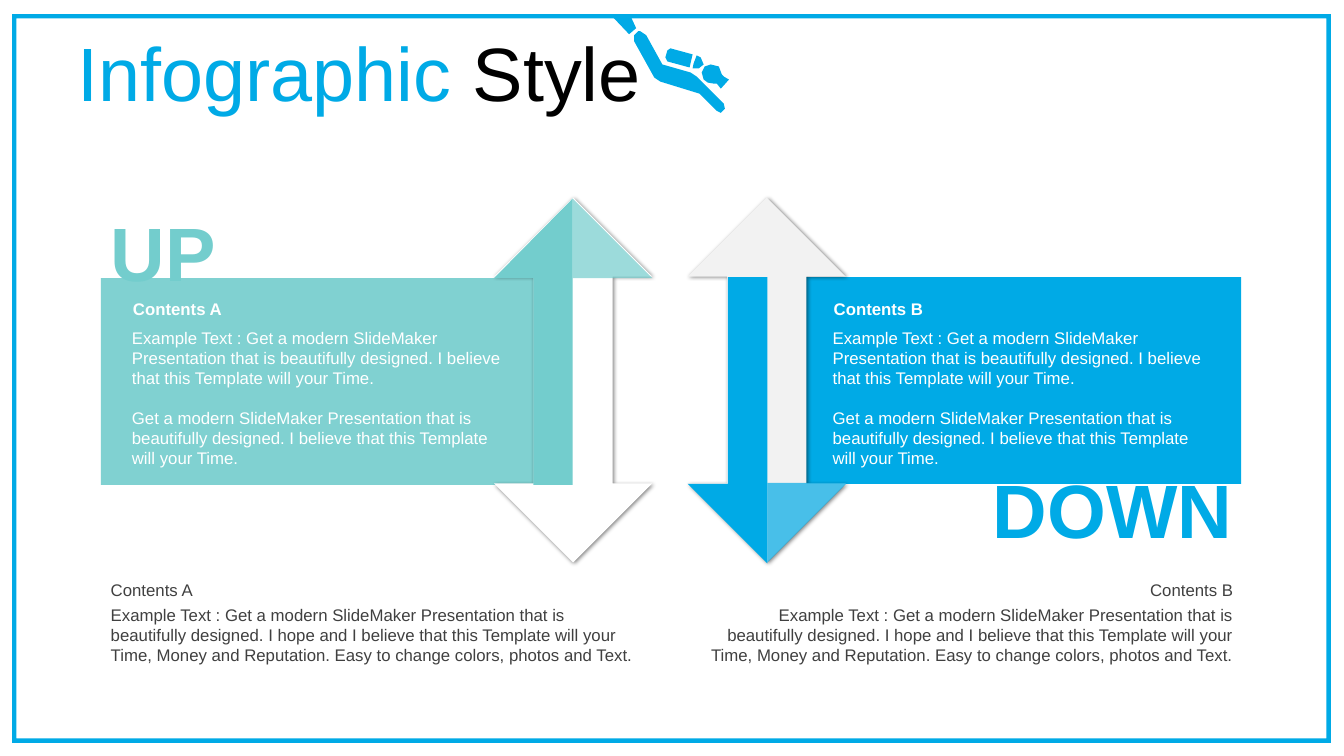
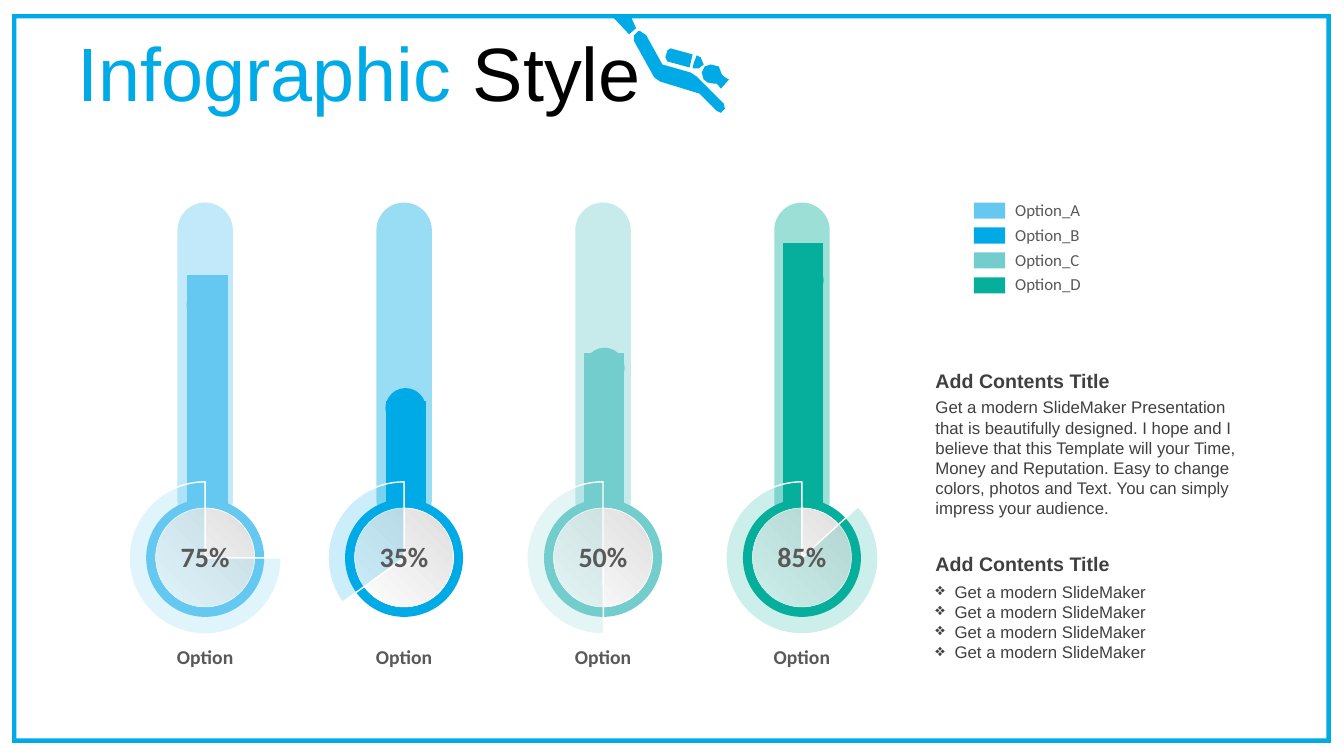
from dataclasses import dataclass

from lxml import etree
from pptx import Presentation
from pptx import util as u
from pptx.chart import data as chart_data
from pptx.dml.color import RGBColor
from pptx.enum import chart as chart_enum
from pptx.enum import shapes, text
from pptx.oxml.ns import qn

LEFT, CENTER, RIGHT = text.PP_ALIGN.LEFT, text.PP_ALIGN.CENTER, text.PP_ALIGN.RIGHT
TOP, MIDDLE = text.MSO_ANCHOR.TOP, text.MSO_ANCHOR.MIDDLE
RECT, OVAL = shapes.MSO_SHAPE.RECTANGLE, shapes.MSO_SHAPE.OVAL


@dataclass(frozen=True)
class Theme:
    blue: str = "00AAE6"
    sky: str = "64C8F0"
    aqua: str = "73CDCD"
    green: str = "05AF9B"
    white: str = "FFFFFF"
    black: str = "000000"
    pale: str = "F2F2F2"
    silver: str = "DEDEDE"
    ink: str = "404040"
    grey: str = "595959"
    sans: str = "Arial"
    label: str = "Calibri"
    display: int = 54
    figure: int = 20
    heading: int = 14
    body: int = 12
    paragraph_gap: int = 14


THEME = Theme()

DIVER = [
    [(70.5, 6.4), (71.3, 6.6), (71.6, 7.4), (71.8, 7.6), (72.3, 7.9), (71.5, 8.8),
     (71.1, 8.3), (70.8, 8.3), (70.2, 8.2), (69.8, 7.9), (69.6, 7.2), (69.9, 6.6)],
    [(69.1, 5.5), (69.5, 5.7), (69.8, 6.4), (69.3, 6.8), (68.7, 6.8), (68.8, 6.3)],
    [(66.5, 4.8), (68.7, 5.4), (68.4, 6.7), (66.2, 6.1), (66, 5.7), (66.2, 5)],
    [(63.5, 3.1), (64.1, 3.5), (65.7, 6.4), (68.5, 7.2), (69.1, 7.6), (71.8, 10.3),
     (71.9, 10.8), (71.5, 11.2), (71.1, 11), (69.4, 9.3), (65.5, 8.1), (64.9, 7.7),
     (62.9, 4.1), (62.9, 3.5), (63.3, 3.1)],
    [(60.6, 1.5), (62.5, 1.5), (63.1, 2.8), (62.4, 3.4)],
]


def rgb(code):
    return RGBColor.from_string(code)


class Deck:
    CELL = u.Inches(0.1)

    def __init__(self, theme):
        self.theme = theme
        self.file = Presentation()
        self.file.slide_width = u.Inches(13.33)
        self.file.slide_height = u.Inches(7.5)
        self.slide = None

    def cells(self, *counts):
        return [u.Emu(round(count * self.CELL)) for count in counts]

    def start_slide(self, accent, rest):
        t = self.theme
        self.slide = self.file.slides.add_slide(self.file.slide_layouts[5])
        title = self.slide.shapes.title
        title.left, title.top, title.width, title.height = self.cells(6.7, 3.7, 122.4, 7.9)
        frame = title.text_frame
        frame.auto_size = text.MSO_AUTO_SIZE.NONE
        frame.vertical_anchor = MIDDLE
        line = frame.paragraphs[0]
        line.alignment = LEFT
        line.line_spacing = 0.9
        line.font.name, line.font.size = t.sans, u.Pt(t.display)
        for words, colour in ((accent, t.blue), (rest, t.black)):
            run = line.add_run()
            run.text = words
            run.font.color.rgb = rgb(colour)
        self.shape(shapes.MSO_SHAPE.FRAME, (1.2, 1.4, 130.8, 72.3), t.blue, adjust=[0.006])
        self.outline(DIVER, t.blue)

    def paint(self, shape, colour, opacity=100, edge=None):
        shape.shadow.inherit = False
        shape.fill.solid()
        shape.fill.fore_color.rgb = rgb(colour)
        if opacity < 100:
            tint = shape._element.spPr.find(f"{qn('a:solidFill')}/{qn('a:srgbClr')}")
            etree.SubElement(tint, qn("a:alpha"), val=str(opacity * 1000))
        if edge is None:
            shape.line.fill.background()
        else:
            shape.line.color.rgb = rgb(self.theme.white)
            shape.line.width = u.Pt(edge)
        return shape

    def shape(self, kind, box, colour, opacity=100, edge=None, adjust=()):
        shape = self.slide.shapes.add_shape(kind, *self.cells(*box))
        for index, value in enumerate(adjust):
            shape.adjustments[index] = value
        return self.paint(shape, colour, opacity, edge)

    def outline(self, contours, colour, opacity=100):
        first, *others = [[self.cells(*point) for point in contour] for contour in contours]
        builder = self.slide.shapes.build_freeform(*first[0])
        builder.add_line_segments(first[1:], close=True)
        for contour in others:
            builder.move_to(*contour[0])
            builder.add_line_segments(contour[1:], close=True)
        return self.paint(builder.convert_to_shape(), colour, opacity)

    def double_arrow(self, left, colour):
        arrow = self.shape(shapes.MSO_SHAPE.UP_DOWN_ARROW, (left, 19.6, 15.7, 36.2), colour)
        effects = arrow._element.spPr.find(qn("a:effectLst"))
        shadow = etree.SubElement(effects, qn("a:outerShdw"), blurRad=str(u.Pt(3)),
                                  dist=str(u.Pt(1)), dir="2700000", algn="tl", rotWithShape="0")
        tint = etree.SubElement(shadow, qn("a:srgbClr"), val=self.theme.black)
        etree.SubElement(tint, qn("a:alpha"), val="47000")

    def dial(self, box):
        dial = self.shape(OVAL, box, self.theme.white, edge=0.5)
        dial.fill.gradient()
        dial.fill.gradient_angle = 225
        for stop, colour in zip(dial.fill.gradient_stops, (self.theme.silver, self.theme.white)):
            stop.color.rgb = rgb(colour)

    def text(self, box, lines, colour, size=None, bold=False, align=LEFT, anchor=TOP,
             font=None, gap=0, bullet=None):
        frame = self.slide.shapes.add_textbox(*self.cells(*box)).text_frame
        frame.word_wrap = True
        frame.vertical_anchor = anchor
        for index, words in enumerate(lines):
            line = frame.paragraphs[0] if index == 0 else frame.add_paragraph()
            line.text = words
            line.alignment = align
            if index and gap:
                line.space_before = u.Pt(gap)
            if bullet:
                indent = u.Inches(0.19)
                props = line._p.get_or_add_pPr()
                props.set("marL", str(indent))
                props.set("indent", str(-indent))
                etree.SubElement(props, qn("a:buChar"), char=bullet)
            line.font.name = font or self.theme.sans
            line.font.size = u.Pt(size or self.theme.body)
            line.font.bold = bold
            line.font.color.rgb = rgb(colour)

    def columns(self, box, values, colours):
        t = self.theme
        source = chart_data.CategoryChartData()
        source.categories = [str(number + 1) for number in range(len(values))]
        source.add_series("Series 1", values)
        chart = self.slide.shapes.add_chart(
            chart_enum.XL_CHART_TYPE.COLUMN_STACKED, *self.cells(*box), source).chart
        chart.has_legend = chart.has_title = False
        chart.font.name, chart.font.size = t.sans, u.Pt(18)
        chart.font.color.rgb = rgb(t.black)
        scale = chart.value_axis
        scale.minimum_scale, scale.maximum_scale = 0, 100
        scale.has_major_gridlines = False
        scale.visible = chart.category_axis.visible = False
        plot = chart.plots[0]
        plot.gap_width, plot.overlap, plot.vary_by_categories = 392, 100, False
        for index, colour in enumerate(colours):
            fill = plot.series[0].points[index].format.fill
            fill.solid()
            fill.fore_color.rgb = rgb(colour)
        area = chart._chartSpace.find(f".//{qn('c:plotArea')}")
        for old in area.findall(qn("c:layout")):
            area.remove(old)
        layout = etree.Element(qn("c:layout"))
        area.insert(0, layout)
        manual = etree.SubElement(layout, qn("c:manualLayout"))
        for tag, value in (("layoutTarget", "inner"), ("xMode", "edge"), ("yMode", "edge"),
                           ("x", "0.02"), ("y", "0.07"), ("w", "0.96"), ("h", "0.9")):
            etree.SubElement(manual, qn(f"c:{tag}"), val=value)


def build_up_down(deck):
    t = deck.theme
    deck.start_slide("Infographic", " Style")
    deck.shape(RECT, (10, 27.6, 43.3, 20.5), t.aqua, 90)
    deck.shape(RECT, (79.8, 27.5, 43.3, 20.5), t.blue)
    deck.text((10, 19.9, 16.5, 10.1), ["UP"], t.aqua, t.display, True, anchor=MIDDLE)
    deck.text((95.6, 45.4, 27.6, 10.1), ["DOWN"], t.blue, t.display, True, RIGHT, MIDDLE)

    deck.double_arrow(49, t.white)
    deck.outline([[(56.8, 19.7), (56.8, 48.1), (52.9, 48.1), (52.9, 27.6), (49, 27.6)]], t.aqua)
    deck.outline([[(56.8, 19.7), (64.7, 27.6), (56.8, 27.6)]], t.aqua, 70)
    deck.double_arrow(68.2, t.pale)
    deck.outline([[(72.2, 27.5), (76.1, 27.5), (76.1, 55.9), (68.2, 48), (72.2, 48)]], t.blue)
    deck.outline([[(76.1, 47.9), (84, 47.9), (76.1, 55.8)]], t.blue, 70)

    pitch = ("Get a modern SlideMaker Presentation that is beautifully designed. "
             "I believe that this Template will your Time.")
    promise = ("Example Text : Get a modern SlideMaker Presentation that is beautifully designed. "
               "I hope and I believe that this Template will your Time, Money and Reputation. "
               "Easy to change colors, photos and Text.")
    for heading, card_left, note_left, align in (("Contents A", 12.1, 10, LEFT),
                                                 ("Contents B", 81.6, 68.6, RIGHT)):
        deck.text((card_left + 0.1, 29.1, 39.5, 3), [heading], t.white, bold=True)
        deck.text((card_left, 32, 39.5, 15.1), ["Example Text : " + pitch, pitch],
                  t.white, gap=t.paragraph_gap)
        deck.text((note_left, 57, 54.7, 3), [heading], t.ink, align=align)
        deck.text((note_left, 59.5, 54.7, 7.1), [promise], t.ink, align=align)


def build_thermometers(deck):
    t = deck.theme
    deck.start_slide("Infographic", " Style")
    options = [
        ("Option_A", t.sky, 88, "75%", 0, 28.3),
        ("Option_B", t.blue, 41, "35%", 144.3, 38.5),
        ("Option_C", t.aqua, 59, "50%", 89.6, 34.5),
        ("Option_D", t.green, 100, "85%", 317.6, 25.8),
    ]
    centers = [20.35 + 19.73 * index for index in range(len(options))]

    for center, (_, colour, *_) in zip(centers, options):
        deck.shape(shapes.MSO_SHAPE.ROUNDED_RECTANGLE, (center - 2.75, 20.1, 5.5, 32.3),
                   colour, 40, adjust=[0.5])
    deck.columns((9.1, 22, 82, 29.6), [option[2] for option in options],
                 [option[1] for option in options])

    for row, (center, option) in enumerate(zip(centers, options)):
        name, colour, _, share, start, cap_top = option
        deck.shape(OVAL, (center - 1.85, cap_top, 4, 4), colour)
        deck.shape(OVAL, (center - 5.85, 49.5, 11.7, 11.7), colour)
        deck.dial((center - 4.9, 50.4, 9.8, 9.8))
        deck.shape(shapes.MSO_SHAPE.PIE, (center - 7.55, 47.8, 15.1, 15.1), colour, 20, 1,
                   [start * 0.6, 162])
        deck.text((center - 5.85, 53, 11.7, 4.4), [share], t.grey, t.figure, True, CENTER,
                  font=t.label)
        deck.text((center - 6.7, 63.5, 13.4, 3.4), ["Option"], t.grey, t.heading, True, CENTER,
                  font=t.label)
        legend_top = 20.1 + 2.47 * row
        deck.shape(RECT, (96.6, legend_top, 3.1, 1.6), colour)
        deck.text((99.7, legend_top - 0.8, 11.1, 3), [name], t.grey, font=t.label)

    for top in (36.1, 54.3):
        deck.text((91.8, top, 32.3, 3.4), ["Add Contents Title"], t.ink, t.heading, True)
    deck.text((91.8, 38.9, 32.3, 13.1), [
        "Get a modern SlideMaker Presentation that is beautifully designed. I hope and I believe "
        "that this Template will your Time, Money and Reputation. Easy to change colors, photos "
        "and Text. You can simply impress your audience."], t.ink)
    deck.text((91.8, 57.2, 32.3, 9.1), ["Get a modern SlideMaker"] * 4, t.ink, bullet="❖")


def main():
    deck = Deck(THEME)
    build_up_down(deck)
    build_thermometers(deck)
    deck.file.save("out.pptx")


if __name__ == "__main__":
    main()
